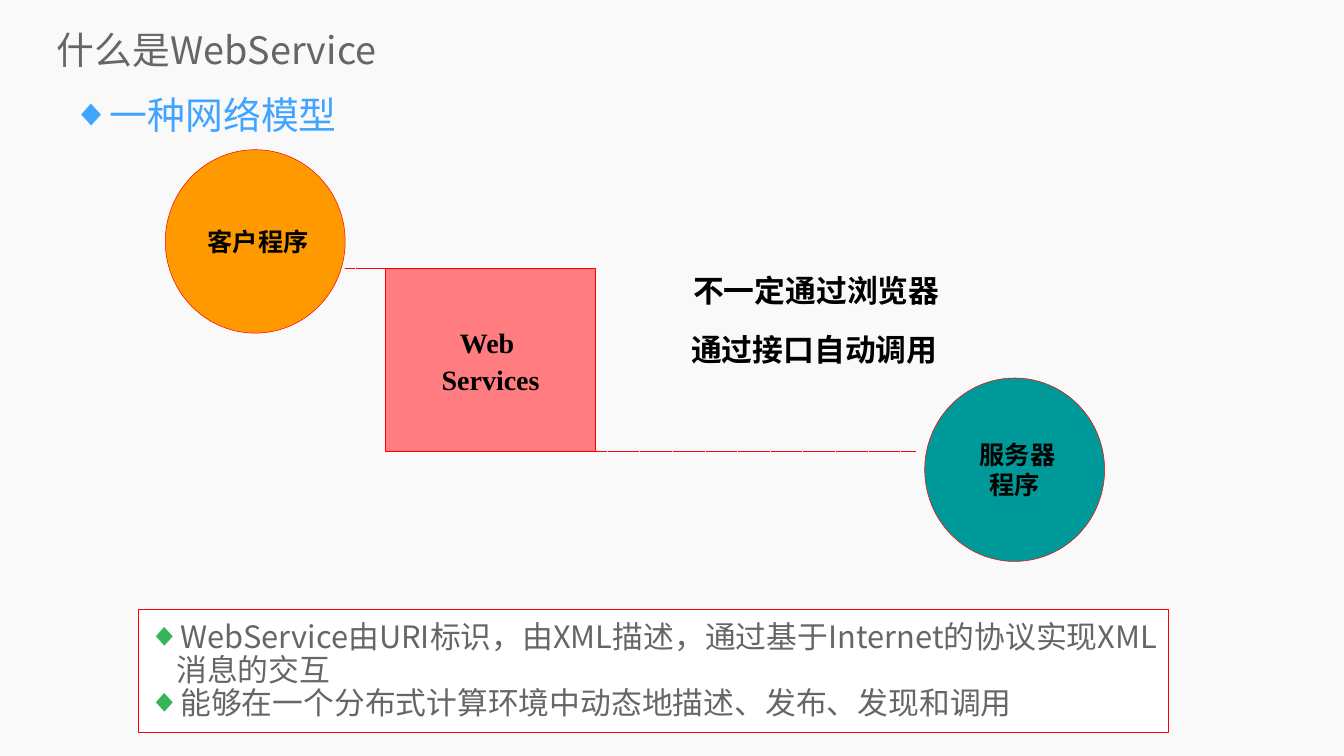
from lxml import etree
from pptx import Presentation
from pptx.dml.color import RGBColor
from pptx.enum.dml import MSO_LINE
from pptx.enum.shapes import MSO_CONNECTOR, MSO_SHAPE
from pptx.enum.text import MSO_ANCHOR, MSO_AUTO_SIZE, PP_ALIGN
from pptx.oxml.ns import qn
from pptx.util import Inches, Pt

LEFT, CENTER = PP_ALIGN.LEFT, PP_ALIGN.CENTER
TOP, MIDDLE = MSO_ANCHOR.TOP, MSO_ANCHOR.MIDDLE
NO_FIT = MSO_AUTO_SIZE.NONE
DOTTED = MSO_LINE.ROUND_DOT
STRAIGHT = MSO_CONNECTOR.STRAIGHT
OVAL, RECTANGLE = MSO_SHAPE.OVAL, MSO_SHAPE.RECTANGLE

COLORS = {
    "background": "F9F9F9", "body": "666666", "label": "000000",
    "heading": "41A4FF", "bullet": "35B558", "outline": "FF0000",
    "client": "FF9900", "server": "009999", "service": "FF7C80",
    "panel": "FFFFFF",
}
CJK, SANS, SERIF, HEADING = "Noto Sans CJK SC", "DejaVu Sans", "Times New Roman", "Arial"


def rgb(name):
    return RGBColor.from_string(COLORS[name])


class SlideBuilder:
    def __init__(self, slide):
        self.slide = slide
        fill = slide.background.fill
        fill.solid()
        fill.fore_color.rgb = rgb("background")

    def fill_text(self, frame, lines, size, font, color="label", bold=False,
                  align=CENTER, anchor=MIDDLE, wrap=False, spacing=None,
                  inset=None, bullet=None):
        frame.word_wrap = wrap
        frame.auto_size = NO_FIT
        frame.vertical_anchor = anchor
        if inset is not None:
            frame.margin_left = frame.margin_right = Inches(inset)
            frame.margin_top = frame.margin_bottom = Inches(inset)
        for index, line in enumerate(lines):
            paragraph = frame.add_paragraph() if index else frame.paragraphs[0]
            if bullet:
                self.add_bullet(paragraph, *bullet)
            paragraph.alignment = align
            if spacing:
                paragraph.line_spacing = spacing
            run = paragraph.add_run()
            run.text = line
            run.font.size = Pt(size)
            run.font.bold = bold
            run.font.name = font
            run.font.color.rgb = rgb(color)
            east_asian = etree.SubElement(run.font._element, qn("a:ea"))
            east_asian.set("typeface", CJK)

    def add_bullet(self, paragraph, margin, hanging, color, percent):
        props = paragraph._p.get_or_add_pPr()
        props.set("marL", str(Inches(margin)))
        props.set("indent", str(-Inches(hanging)))
        tint = etree.SubElement(props, qn("a:buClr"))
        etree.SubElement(tint, qn("a:srgbClr")).set("val", COLORS[color])
        etree.SubElement(props, qn("a:buSzPct")).set("val", str(percent * 1000))
        etree.SubElement(props, qn("a:buFont")).set("typeface", HEADING)
        etree.SubElement(props, qn("a:buChar")).set("char", "◆")

    def title(self, box, text):
        title = self.slide.shapes.title
        title.left, title.top, title.width, title.height = map(Inches, box)
        self.fill_text(title.text_frame, [text], 54, CJK, "body",
                       align=LEFT, wrap=True, inset=0)

    def shape(self, kind, box, fill, lines, size, font, line_width=0.75, **style):
        shape = self.slide.shapes.add_shape(kind, *map(Inches, box))
        shape.shadow.inherit = False
        shape.fill.solid()
        shape.fill.fore_color.rgb = rgb(fill)
        shape.line.color.rgb = rgb("outline")
        shape.line.width = Pt(line_width)
        self.fill_text(shape.text_frame, lines, size, font, **style)

    def text(self, box, text, size, font, **style):
        textbox = self.slide.shapes.add_textbox(*map(Inches, box))
        self.fill_text(textbox.text_frame, [text], size, font, anchor=TOP, **style)

    def dotted_line(self, start_x, end_x, y):
        line = self.slide.shapes.add_connector(
            STRAIGHT, *map(Inches, (start_x, y, end_x, y)))
        line.line.color.rgb = rgb("outline")
        line.line.width = Pt(0.75)
        line.line.dash_style = DOTTED
        etree.SubElement(line._element.spPr, qn("a:effectLst"))


def main():
    deck = Presentation()
    deck.slide_width, deck.slide_height = Inches(26.67), Inches(15)
    page = SlideBuilder(deck.slides.add_slide(deck.slide_layouts[5]))

    page.title((1.13, 0.47, 25.16, 1.02), "什么是WebService")

    # Network model: client, service and server
    circle = (3.57, 3.64)
    page.shape(OVAL, (3.28, 2.97, *circle), "client", [" 客户程序"], 36, SANS, bold=True)
    page.shape(OVAL, (18.35, 7.5, *circle), "server", [" 服务器", "程序"], 36, SANS,
               bold=True)
    page.dotted_line(6.85, 8.84, 5.32)
    page.shape(RECTANGLE, (7.65, 5.32, 4.17, 3.63), "service", ["Web ", "Services"],
               40, SERIF, bold=True, spacing=1.1)
    page.dotted_line(11.81, 18.17, 8.96)

    # Remarks beside the service
    remarks = [((13.63, 5.27, 5.14, 0.92), "不一定通过浏览器"),
               ((13.59, 6.43, 5.14, 0.86), "通过接口自动调用")]
    for box, remark in remarks:
        page.text(box, remark, 44, SERIF, bold=True, spacing=1.1)

    # Section heading
    page.text((1.26, 1.77, 5.59, 1.01), "一种网络模型", 54, HEADING, color="heading",
              wrap=True, bullet=(0.75, 0.75, "heading", 100))

    # Definition panel
    definitions = [
        "WebService由URI标识，由XML描述，通过基于Internet的协议实现XML消息的交互",
        "能够在一个分布式计算环境中动态地描述、发布、发现和调用",
    ]
    page.shape(RECTANGLE, (2.74, 12.1, 20.44, 2.44), "panel", definitions, 44, CJK,
               line_width=1, color="body", align=LEFT, wrap=True, spacing=0.9,
               inset=0, bullet=(0.76, 0.56, "bullet", 105))

    deck.save("out.pptx")


if __name__ == "__main__":
    main()
